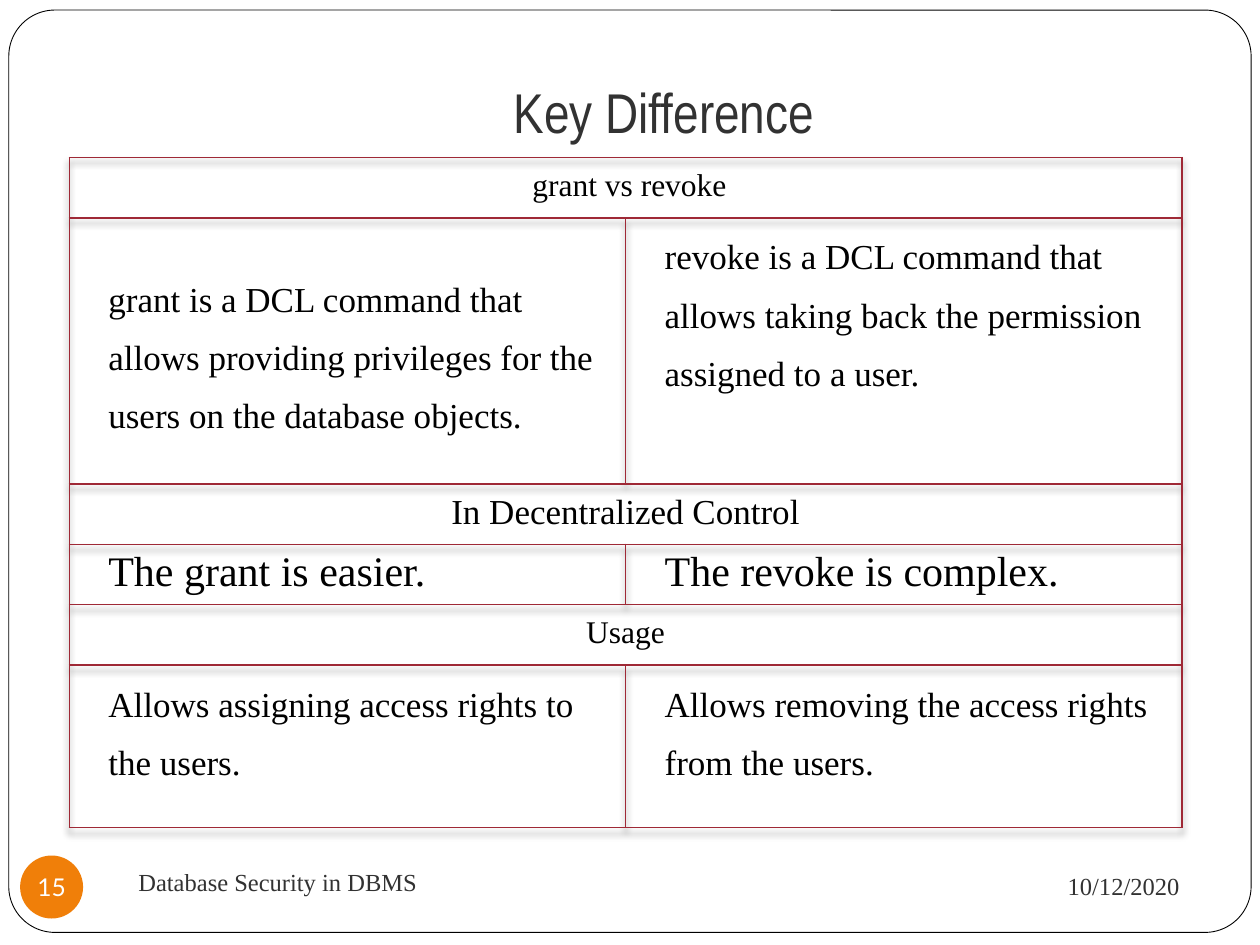
from lxml import etree
from pptx import Presentation
from pptx.dml.color import RGBColor
from pptx.enum.shapes import MSO_SHAPE
from pptx.enum.text import MSO_ANCHOR, PP_ALIGN
from pptx.oxml import parse_xml
from pptx.oxml.ns import nsdecls
from pptx.util import Inches, Pt

LEFT, CENTER, RIGHT = PP_ALIGN.LEFT, PP_ALIGN.CENTER, PP_ALIGN.RIGHT
TOP, MIDDLE, BOTTOM = MSO_ANCHOR.TOP, MSO_ANCHOR.MIDDLE, MSO_ANCHOR.BOTTOM

COLORS = {
    "paper": "FFFFFF",
    "ink": "000000",
    "gray": "323232",
    "border": "9F2936",
    "badge": "F07F09",
}
SERIF = "Times New Roman"

# Row height, text size, line spacing, then (text, anchor) for each cell.
# A row with a single cell spans the whole table.
ROWS = [
    (0.48, 18, 1, [(" grant vs revoke", MIDDLE)]),
    (2.11, 20, 1.5, [
        ("grant is a DCL command that allows providing privileges for the "
         "users on the database objects.", MIDDLE),
        ("revoke is a DCL command that allows taking back the permission "
         "assigned to a user.", TOP)]),
    (0.48, 20, 1, [("In Decentralized Control", MIDDLE)]),
    (0.48, 24, 1, [("The grant is easier.", MIDDLE),
                   ("The revoke is complex.", MIDDLE)]),
    (0.48, 18, 1, [("Usage", MIDDLE)]),
    (1.29, 20, 1.5, [
        ("Allows assigning access rights to the users.", TOP),
        ("Allows removing the access rights from the users.", TOP)]),
]


def rgb(name):
    return RGBColor.from_string(COLORS[name])


def write(frame, text, size, font, color, align=LEFT, spacing=1):
    frame.text = text
    para = frame.paragraphs[0]
    para.alignment = align
    para.line_spacing = spacing
    span = para.runs[0]
    span.font.size = Pt(size)
    span.font.name = font
    span.font.color.rgb = rgb(color)


def add_label(page, box, text, size, font, align=LEFT, anchor=MIDDLE):
    frame = page.shapes.add_textbox(*map(Inches, box)).text_frame
    frame.word_wrap = True
    frame.vertical_anchor = anchor
    write(frame, text, size, font, "gray", align)
    return frame


def add_frame(page, box):
    """Draw the rounded outline around the page."""
    outline = page.shapes.add_shape(MSO_SHAPE.ROUNDED_RECTANGLE, *map(Inches, box))
    outline.adjustments[0] = 0.05
    outline.shadow.inherit = False
    outline.fill.solid()
    outline.fill.fore_color.rgb = rgb("paper")
    outline.line.color.rgb = rgb("ink")
    outline.line.width = Pt(0.5)


def add_title(page, box):
    frame = add_label(page, box, "Key Difference", 32, "Arial Narrow", CENTER, BOTTOM)
    frame.margin_bottom = Inches(0.1)


def add_borders(cell):
    properties = cell._tc.get_or_add_tcPr()
    for position, side in enumerate(("lnL", "lnR", "lnT", "lnB")):
        properties.insert(position, parse_xml(
            f'<a:{side} {nsdecls("a")} w="{Pt(1)}"><a:solidFill>'
            f'<a:srgbClr val="{COLORS["border"]}"/></a:solidFill></a:{side}>'))


def add_table_shadow(table):
    effects = parse_xml(
        f'<a:effectLst {nsdecls("a")}><a:outerShdw blurRad="{Pt(4)}" dist="{Pt(3)}" '
        'dir="5400000" rotWithShape="0"><a:srgbClr val="000000">'
        '<a:alpha val="40000"/></a:srgbClr></a:outerShdw></a:effectLst>')
    table._tbl.tblPr.insert(0, effects)


def add_comparison(page, box):
    table = page.shapes.add_table(len(ROWS), 2, *map(Inches, box)).table
    table.first_row = table.horz_banding = False
    add_table_shadow(table)
    for column in table.columns:
        column.width = Inches(box[2] / 2)
    for index, (height, size, spacing, entries) in enumerate(ROWS):
        table.rows[index].height = Inches(height)
        heading = len(entries) == 1
        if heading:
            table.cell(index, 0).merge(table.cell(index, 1))
        for column in range(2):
            cell = table.cell(index, column)
            cell.fill.background()
            add_borders(cell)
        for column, (text, anchor) in enumerate(entries):
            cell = table.cell(index, column)
            cell.vertical_anchor = anchor
            cell.margin_left = Inches(0.21 if heading else 0.31)
            cell.margin_right = Inches(0.21)
            cell.margin_top, cell.margin_bottom = Inches(0.01), Inches(0.04)
            write(cell.text_frame, text, size, SERIF, "ink",
                  CENTER if heading else LEFT, spacing)


def add_page_number(page, box):
    badge = page.shapes.add_shape(MSO_SHAPE.OVAL, *map(Inches, box))
    badge.shadow.inherit = False
    badge.fill.solid()
    badge.fill.fore_color.rgb = rgb("badge")
    badge.line.fill.background()
    frame = badge.text_frame
    frame.word_wrap = False
    frame.vertical_anchor = MIDDLE
    frame.margin_left = frame.margin_right = 0
    frame.margin_top = frame.margin_bottom = 0
    write(frame, "15", 14, "Lato", "paper", CENTER)


def add_footer(page, box):
    left, top, width, height = box
    add_page_number(page, (left, top + 0.04, 0.5, 0.5))
    add_label(page, (left + 0.84, top, 4.33, 0.5), "Database Security in DBMS", 14, SERIF)
    add_label(page, (left + width - 2.71, top + 0.02, 2.71, height - 0.02),
              "10/12/2020", 14, SERIF, RIGHT)


def main():
    deck = Presentation()
    deck.slide_width, deck.slide_height = Inches(10), Inches(7.5)
    page = deck.slides.add_slide(deck.slide_layouts[6])
    add_frame(page, (0.07, 0.08, 9.86, 7.32))
    add_title(page, (1.02, 0, 8.5, 1.25))
    add_comparison(page, (0.55, 1.25, 8.83, 5.32))
    add_footer(page, (0.16, 6.75, 9.3, 0.54))
    etree.cleanup_namespaces(page.shapes._spTree)
    deck.save("out.pptx")


if __name__ == "__main__":
    main()
